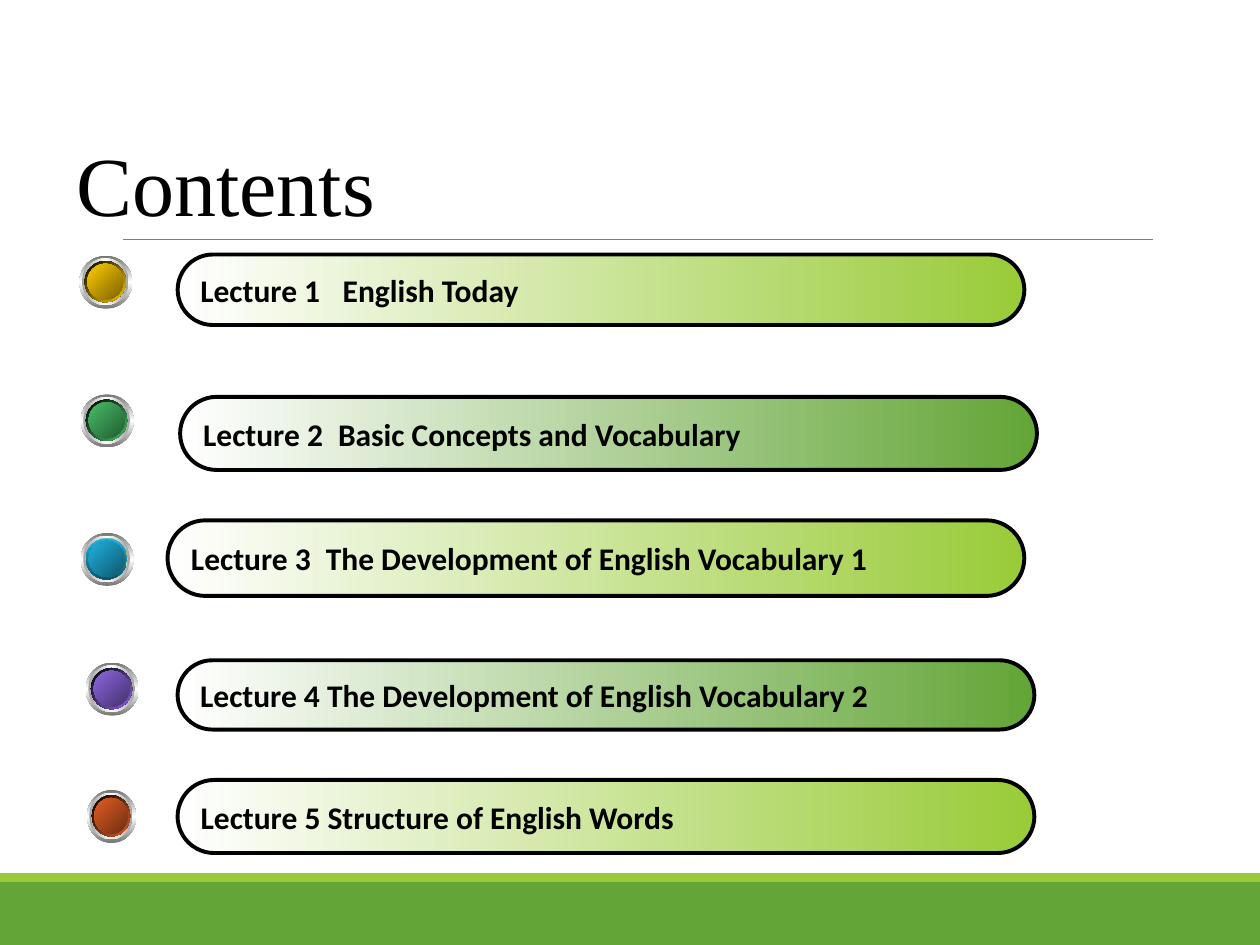
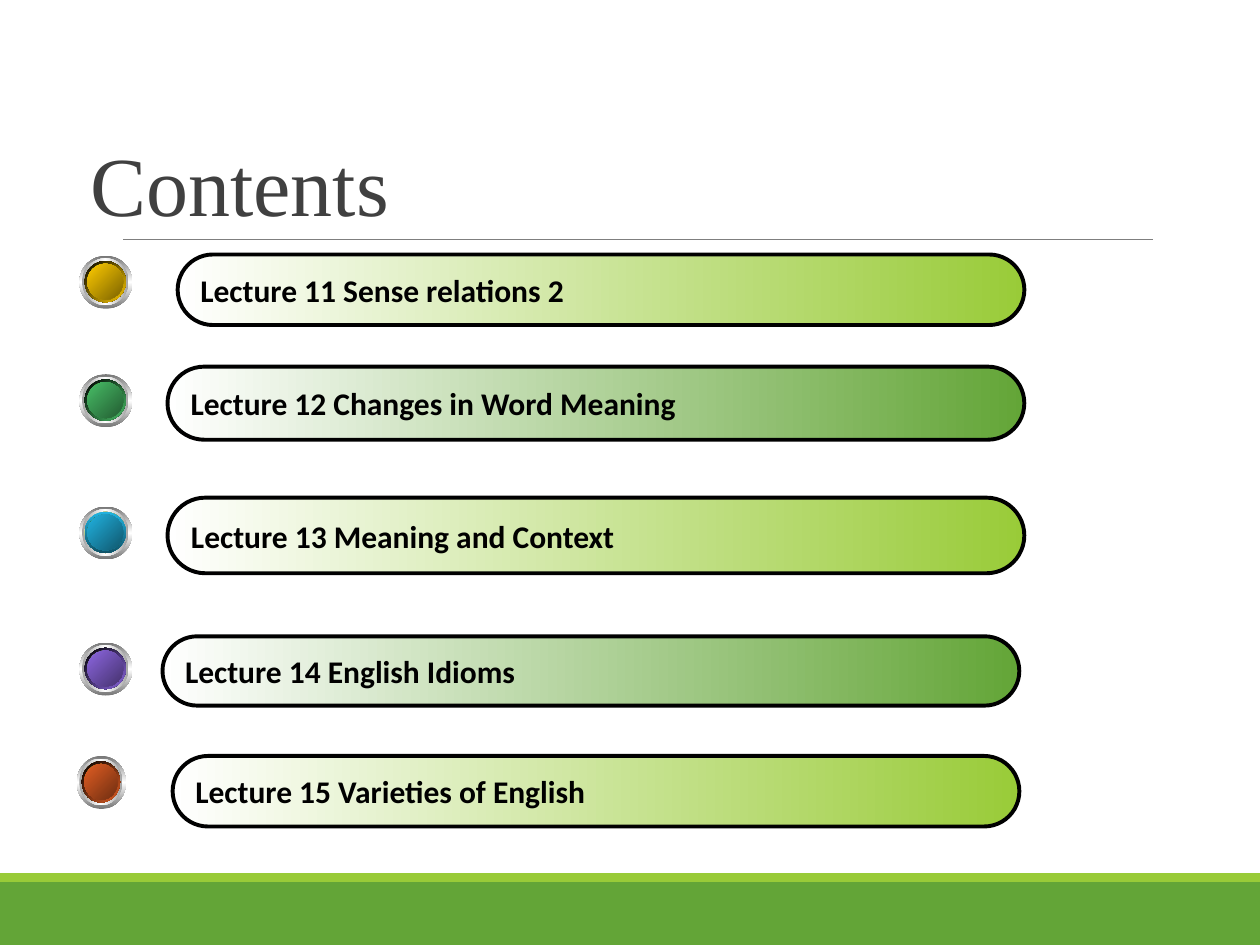
import pptx
import pptx.dml.color
import pptx.enum.shapes
import pptx.enum.text
import pptx.oxml
import pptx.oxml.ns
import pptx.util
from lxml import etree

# The page is a grid of square cells: 100 columns by 75 rows
COLUMNS, ROWS = 100, 75
CELL = pptx.util.Inches(0.1)

COLOURS = {
    "white": "FFFFFF", "black": "000000", "title grey": "404040",
    "rule": "7F7F7F", "green": "63A537", "lime": "99CB38",
    "steel": "767676", "silver": "A2A2A2", "leaf": "6B9F25", "moss": "3A5614",
    "yellow": "FFCC00", "olive": "7C6300", "emerald": "48BE67", "pine": "235C32",
    "blue": "21B3E1", "navy": "0F5368", "deep blue": "10576D",
    "violet": "8D67E1", "plum": "45326D", "orange": "E35E23", "rust": "6E2E11",
}
TITLE_FONT = {"name": "Times New Roman", "size": pptx.util.Pt(48)}
LECTURE_FONT = {"name": "Calibri", "size": pptx.util.Pt(18), "bold": True}

# Button looks from top to bottom: width, rim gradient, rim angle, face gradient
BUTTONS = [
    (4.2, ("black", "yellow"), 45, ("yellow", "olive")),
    (4.2, ("black", "emerald"), 45, ("emerald", "pine")),
    (4.2, ("blue", "navy"), 90, ("blue", "deep blue")),
    (4.2, ("black", "violet"), 45, ("violet", "plum")),
    (3.9, ("black", "orange"), 45, ("orange", "rust")),
]
BUTTON_HEIGHT = 4.2
BAR_COLOURS = ("lime", "green")

# Lectures: label, topic, topic's tab stop in cells (None for a plain space),
# bar (left, top, width, height), button (left, top)
FIRST_LECTURES = [
    ("Lecture 1", "English Today", 11.3, (14.1, 20.2, 67.2, 5.6), (6.3, 20.3)),
    ("Lecture 2", "Basic Concepts and Vocabulary", 10.7,
     (14.3, 31.5, 68, 5.8), (6.4, 31.3)),
    ("Lecture 3", "The Development of English Vocabulary 1", 10.7,
     (13.3, 41.3, 68, 6), (6.4, 42.3)),
    ("Lecture 4", "The Development of English Vocabulary 2", None,
     (14.1, 52.4, 68, 5.5), (6.8, 52.6)),
    ("Lecture 5", "Structure of English Words", None,
     (14.1, 61.9, 68, 5.8), (6.9, 62.7)),
]
LAST_LECTURES = [
    ("Lecture 11", "Sense relations 2", None, (14.1, 20.2, 67.2, 5.6), (6.3, 20.3)),
    ("Lecture 12", "Changes in Word Meaning", None,
     (13.3, 29.1, 68, 5.8), (6.3, 29.7)),
    ("Lecture 13", "Meaning and Context", None, (13.3, 39.5, 68, 6), (6.3, 40.2)),
    ("Lecture 14", "English Idioms", None, (12.9, 50.5, 68, 5.5), (6.3, 51)),
    ("Lecture 15", "Varieties of English", None, (13.7, 60, 67.2, 5.6), (6.1, 60)),
]


def cells(*counts):
    return [round(count * CELL) for count in counts]


def colour(name):
    return pptx.dml.color.RGBColor.from_string(COLOURS[name])


def apply_font(font, values, colour_name):
    for key, value in values.items():
        setattr(font, key, value)
    font.color.rgb = colour(colour_name)


def fill_gradient(shape, names, angle):
    """Spread the named colours evenly; the angle runs clockwise."""
    shape.fill.gradient()
    qn = pptx.oxml.ns.qn
    gradient = shape.element.spPr.find(qn("a:gradFill"))
    stops = gradient.find(qn("a:gsLst"))
    for stop in list(stops):
        stops.remove(stop)
    for index, name in enumerate(names):
        position = 100000 * index // (len(names) - 1)
        stop = etree.SubElement(stops, qn("a:gs"), pos=str(position))
        etree.SubElement(stop, qn("a:srgbClr"), val=COLOURS[name])
    gradient.find(qn("a:lin")).set("ang", str(angle * 60000))


def add_plain_shape(shapes, kind, area):
    shape = shapes.add_shape(kind, *cells(*area))
    shape.shadow.inherit = False
    shape.line.fill.background()
    return shape


def add_band(page, top, height, colour_name):
    band = add_plain_shape(page.shapes, pptx.enum.shapes.MSO_SHAPE.RECTANGLE,
                           (0, top, COLUMNS, height))
    band.fill.solid()
    band.fill.fore_color.rgb = colour(colour_name)


def add_title_rule(page):
    rule = page.shapes.add_connector(pptx.enum.shapes.MSO_CONNECTOR.STRAIGHT,
                                     *cells(9.8, 19, 91.5, 19))
    rule.line.color.rgb = colour("rule")
    rule.line.width = pptx.util.Pt(0.5)
    etree.SubElement(rule.element.spPr, pptx.oxml.ns.qn("a:effectLst"))


def add_title(page, text, left, colour_name):
    box = page.shapes.add_textbox(*cells(left, 3.1, 91.5 - left, 15.9))
    frame = box.text_frame
    frame.word_wrap = True
    frame.vertical_anchor = pptx.enum.text.MSO_ANCHOR.BOTTOM
    para = frame.paragraphs[0]
    para.line_spacing = 0.85
    span = para.add_run()
    span.text = text
    apply_font(span.font, TITLE_FONT, colour_name)


def add_tab_stop(para, position):
    qn = pptx.oxml.ns.qn
    tabs = etree.SubElement(para._p.get_or_add_pPr(), qn("a:tabLst"))
    etree.SubElement(tabs, qn("a:tab"), pos=str(cells(position)[0]), algn="l")


def add_lecture_bar(page, label, topic, tab, area, colour_name):
    bar = add_plain_shape(page.shapes,
                          pptx.enum.shapes.MSO_SHAPE.ROUNDED_RECTANGLE, area)
    bar.adjustments[0] = 0.5
    fill_gradient(bar, ("white", colour_name), 0)
    bar.line.color.rgb = colour("black")
    bar.line.width = pptx.util.Pt(2.25)
    frame = bar.text_frame
    frame.word_wrap = True
    frame.vertical_anchor = pptx.enum.text.MSO_ANCHOR.MIDDLE
    para = frame.paragraphs[0]
    para.alignment = pptx.enum.text.PP_ALIGN.LEFT
    if tab:
        add_tab_stop(para, tab)
    span = para.add_run()
    span.text = label + ("\t" if tab else " ") + topic
    apply_font(span.font, LECTURE_FONT, "black")


def add_button(page, left, top, width, rim, rim_angle, face):
    # Each layer: inset and size as shares of the button, gradient, angle
    layers = [
        (0, 1, ("steel", "white", "steel"), 90),
        (0.05, 0.88, ("silver", "white", "silver"), 0),
        (0.1, 0.78, ("white", "leaf", "white"), 45),
        (0.1, 0.78, rim, rim_angle),
        (0.15, 0.68, ("moss", "leaf", "moss"), 315),
        (0.15, 0.68, face, 45),
    ]
    group = page.shapes.add_group_shape()
    for inset, share, gradient, angle in layers:
        area = (left + inset * width, top + inset * BUTTON_HEIGHT,
                share * width, share * BUTTON_HEIGHT)
        disc = add_plain_shape(group.shapes, pptx.enum.shapes.MSO_SHAPE.OVAL, area)
        fill_gradient(disc, gradient, angle)


def add_contents_page(deck, title_left, title_colour, lectures):
    page = deck.slides.add_slide(deck.slide_layouts[6])
    # Shared frame
    add_band(page, 70, 5, "green")
    add_band(page, 69.3, 0.7, "lime")
    add_title_rule(page)
    add_title(page, "Contents", title_left, title_colour)
    # Lecture list
    for index, (label, topic, tab, area, corner) in enumerate(lectures):
        add_lecture_bar(page, label, topic, tab, area, BAR_COLOURS[index % 2])
        add_button(page, *corner, *BUTTONS[index])


def main():
    deck = pptx.Presentation()
    deck.slide_width, deck.slide_height = cells(COLUMNS, ROWS)
    add_contents_page(deck, 5.1, "black", FIRST_LECTURES)
    add_contents_page(deck, 6.2, "title grey", LAST_LECTURES)
    deck.save("out.pptx")


if __name__ == "__main__":
    main()
